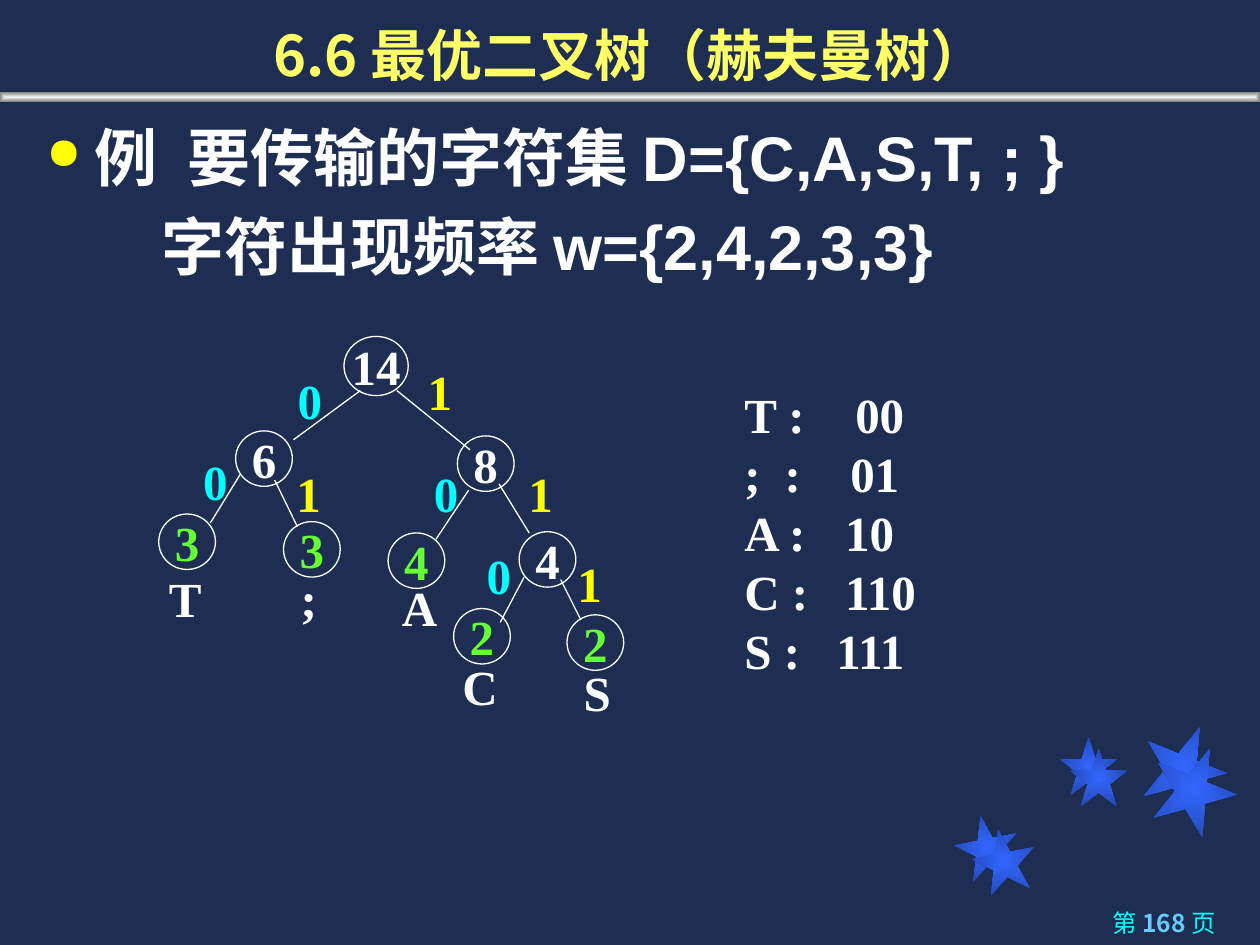
from collections import namedtuple
from dataclasses import dataclass

from lxml import etree
from pptx import Presentation
from pptx.dml.color import RGBColor
from pptx.enum.shapes import MSO_CONNECTOR, MSO_SHAPE
from pptx.enum.text import MSO_ANCHOR, PP_ALIGN
from pptx.oxml.ns import qn
from pptx.util import Emu, Pt

CENTER, RIGHT = PP_ALIGN.CENTER, PP_ALIGN.RIGHT
TOP, MIDDLE, BOTTOM = MSO_ANCHOR.TOP, MSO_ANCHOR.MIDDLE, MSO_ANCHOR.BOTTOM
STAR, OVAL, RECT = MSO_SHAPE.STAR_5_POINT, MSO_SHAPE.OVAL, MSO_SHAPE.RECTANGLE
STRAIGHT = MSO_CONNECTOR.STRAIGHT

Box = namedtuple("Box", "left top width height")
Node = namedtuple("Node", "value at edge bit bit_at letter letter_at",
                  defaults=(None,) * 5)


@dataclass(frozen=True)
class Theme:
    background: str = "1E2E53"
    title: str = "FFFF66"
    text: str = "FFFFFF"
    leaf: str = "66FF33"
    zero: str = "00FFFF"
    one: str = "FFFF00"
    number: str = "66CCFF"
    star: tuple = ("3366FF", "2449B6")
    rule: tuple = ("F2F2F2", "808080")
    cjk: str = "Noto Sans CJK SC"
    sans: str = "Arial"
    serif: str = "Times New Roman"
    title_size: int = 32
    body_size: int = 36
    tree_size: int = 28
    footer_size: int = 14
    tree_leading: float = 33.7


THEME = Theme()

NODES = [
    Node("14", (149, 0)),
    Node("6", (63, 75), (162, 43, 109, 82), "0", (102, 22)),
    Node("8", (239, 79), (191, 43, 249, 90), "1", (205, 15)),
    Node("3", (2, 141), (67, 109, 43, 148), "0", (27, 86), "T", (-1, 179)),
    Node("3", (101, 147), (94, 114, 112, 151), "1", (101, 96), ";", (97, 179)),
    Node("4", (184, 156), (248, 122, 222, 161), "0", (210, 96), "A", (185, 186)),
    Node("4", (288, 155), (272, 117, 296, 156), "1", (285, 96)),
    Node("2", (236, 216), (292, 191, 273, 227), "0", (252, 161), "C", (233, 249)),
    Node("2", (326, 221), (321, 193, 337, 225), "1", (324, 167), "S", (326, 254)),
]

CODES = [
    ("T :\t00", [88]),
    (";\t:\t01", [32, 84]),
    ("A :\t10", [80]),
    ("C :\t110", [80]),
    ("S :\t111", [73]),
]


def px(count):
    """Turn px, 100 to the inch, into EMU."""
    return Emu(count * 9144)


def place(box):
    return [px(length) for length in box]


def style(font, name, size, color, bold=True):
    font.name, font.size, font.bold = name, Pt(size), bold
    font.color.rgb = RGBColor.from_string(color)


def set_east_asian(span):
    properties = span._r.get_or_add_rPr()
    etree.SubElement(properties, qn("a:ea"), typeface=THEME.cjk)


def set_tabs(para, stops):
    tabs = etree.SubElement(para._p.get_or_add_pPr(), qn("a:tabLst"))
    for stop in stops:
        etree.SubElement(tabs, qn("a:tab"), pos=str(px(stop)), algn="l")


def set_indent(para, margin, first):
    properties = para._p.get_or_add_pPr()
    properties.set("marL", str(px(margin)))
    properties.set("indent", str(px(first)))


def set_bullet(para, color, percent):
    properties = para._p.get_or_add_pPr()
    tint = etree.SubElement(properties, qn("a:buClr"))
    etree.SubElement(tint, qn("a:srgbClr"), val=color)
    etree.SubElement(properties, qn("a:buSzPct"), val=str(percent * 1000))
    etree.SubElement(properties, qn("a:buChar"), char="●")


def add_text_box(page, box, anchor, wrap=True):
    frame = page.shapes.add_textbox(*place(box)).text_frame
    frame.word_wrap, frame.vertical_anchor = wrap, anchor
    return frame


def add_glow(page, kind, box, colors, turn=0):
    """Add a shape whose gradient runs from its centre to its edge."""
    shape = page.shapes.add_shape(kind, *place(box))
    shape.rotation = turn
    shape.shadow.inherit = False
    shape.line.fill.background()
    shape.fill.gradient()
    for stop, color in zip(shape.fill.gradient_stops, colors):
        stop.color.rgb = RGBColor.from_string(color)
    gradient = shape._element.spPr.find(qn("a:gradFill"))
    gradient.remove(gradient.find(qn("a:lin")))
    path = etree.SubElement(gradient, qn("a:path"), {"path": "shape"})
    etree.SubElement(path, qn("a:fillToRect"), dict.fromkeys("ltrb", "50000"))


def add_stars(page, box):
    for left, top, size, turn in [
        (0, 72, 50, 349), (83, 10, 46, 0), (148, 0, 67, 22),
        (14, 83, 50, 349), (91, 19, 46, 0), (156, 17, 67, 22),
    ]:
        star_box = Box(box.left + left, box.top + top, size, size)
        add_glow(page, STAR, star_box, THEME.star, turn)


def add_title(page, box):
    title = page.shapes.title
    title.left, title.top, title.width, title.height = place(box)
    frame = title.text_frame
    frame.vertical_anchor = BOTTOM
    para = frame.paragraphs[0]
    para.alignment = CENTER
    span = para.add_run()
    span.text = "6.6 最优二叉树（赫夫曼树）"
    style(para.font, THEME.cjk, THEME.title_size, THEME.title)
    set_east_asian(span)
    add_glow(page, RECT, Box(box.left, box.height - 2, box.width, 8), THEME.rule)


def add_example(page, box):
    frame = add_text_box(page, box, TOP)
    example, frequency = frame.paragraphs[0], frame.add_paragraph()
    set_indent(example, 38, -38)
    set_bullet(example, THEME.one, 70)
    # One gap, whether stops count from the indent (74) or the box edge (112).
    set_tabs(example, [74, 112])
    set_indent(frequency, 91, 0)
    frequency.space_before = Pt(5)
    for para, text in [(example, "例\t要传输的字符集 D={C,A,S,T, ; }"),
                       (frequency, "字符出现频率 w={2,4,2,3,3}")]:
        span = para.add_run()
        span.text = text
        para.line_spacing = Pt(46)
        style(para.font, THEME.sans, THEME.body_size, THEME.text)
        set_east_asian(span)


def write_tree_text(frame, text, color):
    frame.word_wrap, frame.vertical_anchor = False, MIDDLE
    para = frame.paragraphs[0]
    para.text, para.alignment = text, CENTER
    para.line_spacing = Pt(THEME.tree_leading)
    style(para.font, THEME.serif, THEME.tree_size, color)


def add_edge(page, ends):
    edge = page.shapes.add_connector(STRAIGHT, *place(ends))
    edge.line.color.rgb = RGBColor.from_string(THEME.text)
    edge.line.width = Pt(0.75)
    etree.SubElement(edge._element.spPr, qn("a:effectLst"))


def add_circle(page, box, text, color):
    circle = page.shapes.add_shape(OVAL, *place(box))
    circle.shadow.inherit = False
    circle.fill.background()
    circle.line.color.rgb = RGBColor.from_string(THEME.text)
    circle.line.width = Pt(0.75)
    frame = circle.text_frame
    frame.margin_left = frame.margin_right = 0
    frame.margin_top = frame.margin_bottom = 0
    write_tree_text(frame, text, color)


def add_tree(page, box):
    def add_label(text, at, width, color):
        label_box = Box(box.left + at[0], box.top + at[1], width, 57)
        write_tree_text(add_text_box(page, label_box, MIDDLE), text, color)

    for node in NODES:
        size = (45, 44) if node.edge else (51, 47)
        circle_box = Box(box.left + node.at[0], box.top + node.at[1], *size)
        color = THEME.leaf if node.letter else THEME.text
        add_circle(page, circle_box, node.value, color)
        if node.edge:
            x1, y1, x2, y2 = node.edge
            add_edge(page, (box.left + x1, box.top + y1, box.left + x2, box.top + y2))
            bit_color = THEME.zero if node.bit == "0" else THEME.one
            add_label(node.bit, node.bit_at, 40, bit_color)
        if node.letter:
            add_label(node.letter, node.letter_at, 48, THEME.text)


def add_codes(page, box):
    frame = add_text_box(page, box, MIDDLE)
    for index, (text, stops) in enumerate(CODES):
        para = frame.add_paragraph() if index else frame.paragraphs[0]
        para.text = text
        para.line_spacing = Pt(THEME.tree_leading)
        set_tabs(para, stops)
        style(para.font, THEME.serif, THEME.tree_size, THEME.text)


def add_page_number(page, box):
    para = add_text_box(page, box, MIDDLE).paragraphs[0]
    para.alignment = RIGHT
    for text, color, bold in [("第 ", THEME.zero, False),
                              ("168 ", THEME.number, True),
                              ("页", THEME.zero, False)]:
        span = para.add_run()
        span.text = text
        style(span.font, THEME.cjk, THEME.footer_size, color, bold)
        set_east_asian(span)


def main():
    deck = Presentation()
    deck.slide_width, deck.slide_height = px(1000), px(750)
    page = deck.slides.add_slide(deck.slide_layouts[5])
    page.background.fill.solid()
    page.background.fill.fore_color.rgb = RGBColor.from_string(THEME.background)
    add_stars(page, Box(758, 575, 223, 133))
    add_title(page, Box(0, 0, 1000, 75))
    add_example(page, Box(27, 85, 955, 162))
    add_tree(page, Box(124, 267, 374, 311))
    add_codes(page, Box(581, 300, 234, 244))
    add_page_number(page, Box(712, 714, 263, 36))
    deck.save("out.pptx")


if __name__ == "__main__":
    main()
